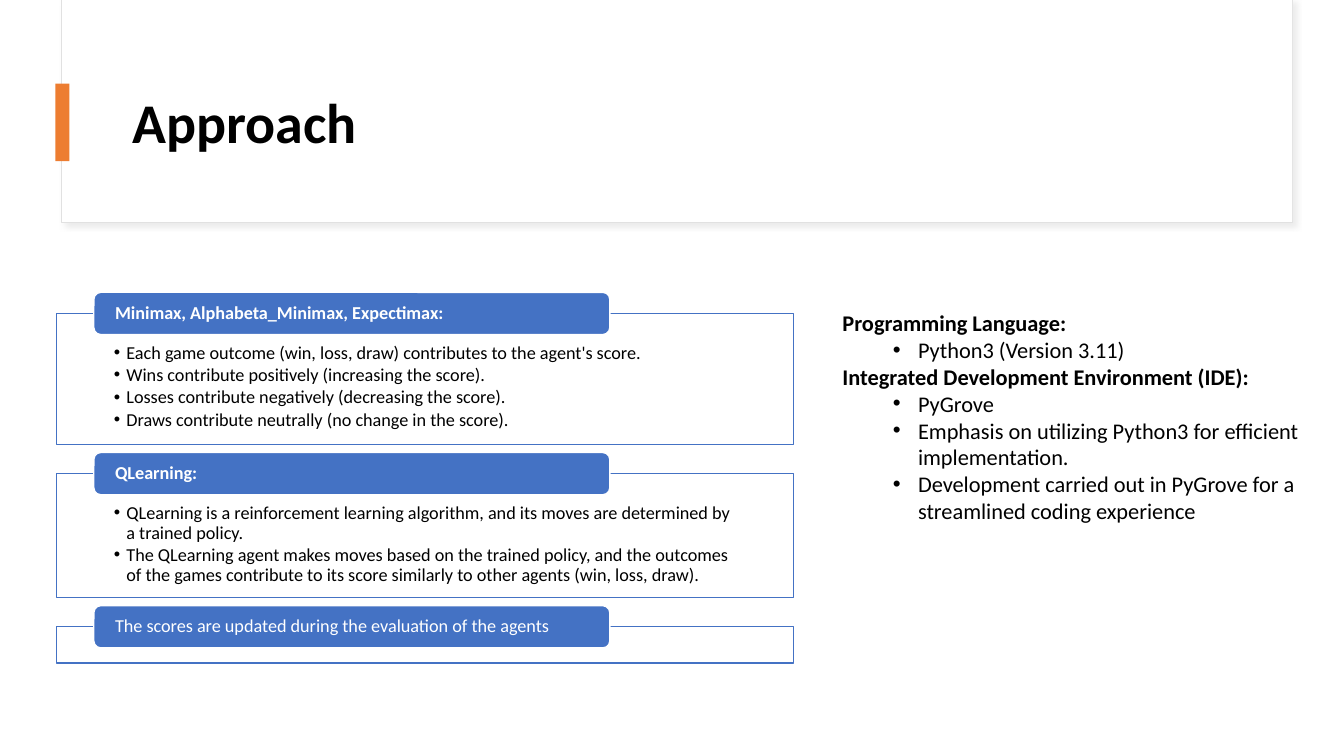
from lxml import etree
from pptx import Presentation
from pptx import util as u
from pptx.dml import color
from pptx.enum import shapes, text
from pptx.oxml import ns

COLORS = {"white": "FFFFFF", "black": "000000", "frame": "E1E1E1",
          "shadow": "D9D9D9", "accent": "ED7D31", "blue": "4472C4"}
RECT = shapes.MSO_SHAPE.RECTANGLE
ROUNDED = shapes.MSO_SHAPE.ROUNDED_RECTANGLE
MIDDLE = text.MSO_ANCHOR.MIDDLE
TOP = text.MSO_ANCHOR.TOP

PANELS = [
    (93.6, "Minimax, Alphabeta_Minimax, Expectimax:", True, [
        "Each game outcome (win, loss, draw) contributes to the agent's score.",
        "Wins contribute positively (increasing the score).",
        "Losses contribute negatively (decreasing the score).",
        "Draws contribute neutrally (no change in the score).",
    ]),
    (88.6, "QLearning:", True, [
        "QLearning is a reinforcement learning algorithm, and its moves are "
        "determined by a trained policy.",
        "The QLearning agent makes moves based on the trained policy, and the "
        "outcomes of the games contribute to its score similarly to other "
        "agents (win, loss, draw).",
    ]),
    (25.9, "The scores are updated during the evaluation of the agents", False, []),
]
TOOLS = [
    ("Programming Language:", ["Python3 (Version 3.11)"]),
    ("Integrated Development Environment (IDE):", [
        "PyGrove",
        "Emphasis on utilizing Python3 for efficient implementation.",
        "Development carried out in PyGrove for a streamlined coding experience",
    ]),
]


class SlideBuilder:
    """Draws styled elements on one slide, with all lengths in points."""

    def __init__(self, slide, font="Calibri"):
        self.slide = slide
        self.font = font

    def rgb(self, name):
        return color.RGBColor.from_string(COLORS[name])

    def shape(self, kind, area, fill, line=None, width=1):
        shape = self.slide.shapes.add_shape(kind, *map(u.Pt, area))
        shape.shadow.inherit = False
        shape.fill.solid()
        shape.fill.fore_color.rgb = self.rgb(fill)
        if line:
            shape.line.color.rgb = self.rgb(line)
            shape.line.width = u.Pt(width)
        else:
            shape.line.fill.background()
        return shape

    def soften(self, shape, percent):
        fill = shape._element.spPr.find(ns.qn("a:solidFill"))
        etree.SubElement(fill[0], ns.qn("a:alpha"), val=str(percent * 1000))

    def cast_shadow(self, shape):
        effects = shape._element.spPr.find(ns.qn("a:effectLst"))
        shadow = etree.SubElement(effects, ns.qn("a:outerShdw"),
                                  blurRad=str(u.Pt(4)), dist=str(u.Pt(3)),
                                  dir=str(45 * 60000), rotWithShape="0")
        tint = etree.SubElement(shadow, ns.qn("a:srgbClr"), val=COLORS["shadow"])
        etree.SubElement(tint, ns.qn("a:alpha"), val="50000")

    def frame(self, shape, anchor=TOP, insets=(7.2, 3.6, 7.2, 3.6)):
        frame = shape.text_frame
        frame.word_wrap = True
        frame.vertical_anchor = anchor
        frame.margin_left, frame.margin_top, frame.margin_right, frame.margin_bottom = map(u.Pt, insets)
        return frame

    def text_box(self, area, anchor=TOP):
        return self.frame(self.slide.shapes.add_textbox(*map(u.Pt, area)), anchor)

    def add_para(self, frame, words, size, ink="black", bold=False, spacing=1.0,
                 after=0, margin=0, hanging=0):
        para = frame.paragraphs[0]
        if para.runs:
            para = frame.add_paragraph()
        para.alignment = text.PP_ALIGN.LEFT
        para.line_spacing = spacing
        para.space_after = u.Pt(after)
        props = para._p.get_or_add_pPr()
        props.set("marL", str(u.Pt(margin)))
        props.set("indent", str(u.Pt(-hanging)))
        if hanging:
            etree.SubElement(props, ns.qn("a:buFont"), typeface="Arial")
            etree.SubElement(props, ns.qn("a:buChar"), char="•")
        span = para.add_run()
        span.text = words
        span.font.name = self.font
        span.font.size = u.Pt(size)
        span.font.bold = bold
        span.font.color.rgb = self.rgb(ink)

    def panel(self, top, height, heading, bold, points):
        body = self.shape(RECT, (40.3, top, 526.3, height), "white", "blue")
        self.soften(body, 90)
        frame = self.frame(body, insets=(41, 21.6, 41, 7.2))
        for point in points:
            self.add_para(frame, point, 13, spacing=0.9, after=1.8, margin=9, hanging=9)
        tab = self.shape(ROUNDED, (67, top - 15.1, 368.6, 30.2), "blue", "white")
        label = self.frame(tab, MIDDLE, (13.7, 0, 13.7, 0))
        self.add_para(label, heading, 13, "white", bold, spacing=0.9)


def main():
    deck = Presentation()
    deck.slide_width, deck.slide_height = u.Pt(960), u.Pt(540)
    page = SlideBuilder(deck.slides.add_slide(deck.slide_layouts[6]))

    banner = page.shape(RECT, (44, 0, 879, 159.3), "white", "frame", 0.75)
    page.cast_shadow(banner)
    page.shape(RECT, (44.6, 0, 878.4, 158.4), "white")
    title = page.text_box((87.8, 43.2, 800.6, 92.9), MIDDLE)
    page.add_para(title, "Approach", 40, bold=True, spacing=0.9)
    page.shape(RECT, (39.6, 59.8, 10.1, 55.4), "accent")

    top = 223.9
    for height, heading, bold, points in PANELS:
        page.panel(top, height, heading, bold, points)
        top += height + 20.8

    tools = page.text_box((558.7, 217.4, 384.5, 162.7))
    for heading, points in TOOLS:
        page.add_para(tools, heading, 16, bold=True, margin=36)
        for point in points:
            page.add_para(tools, point, 16, margin=90, hanging=18)

    deck.save("out.pptx")


if __name__ == "__main__":
    main()
